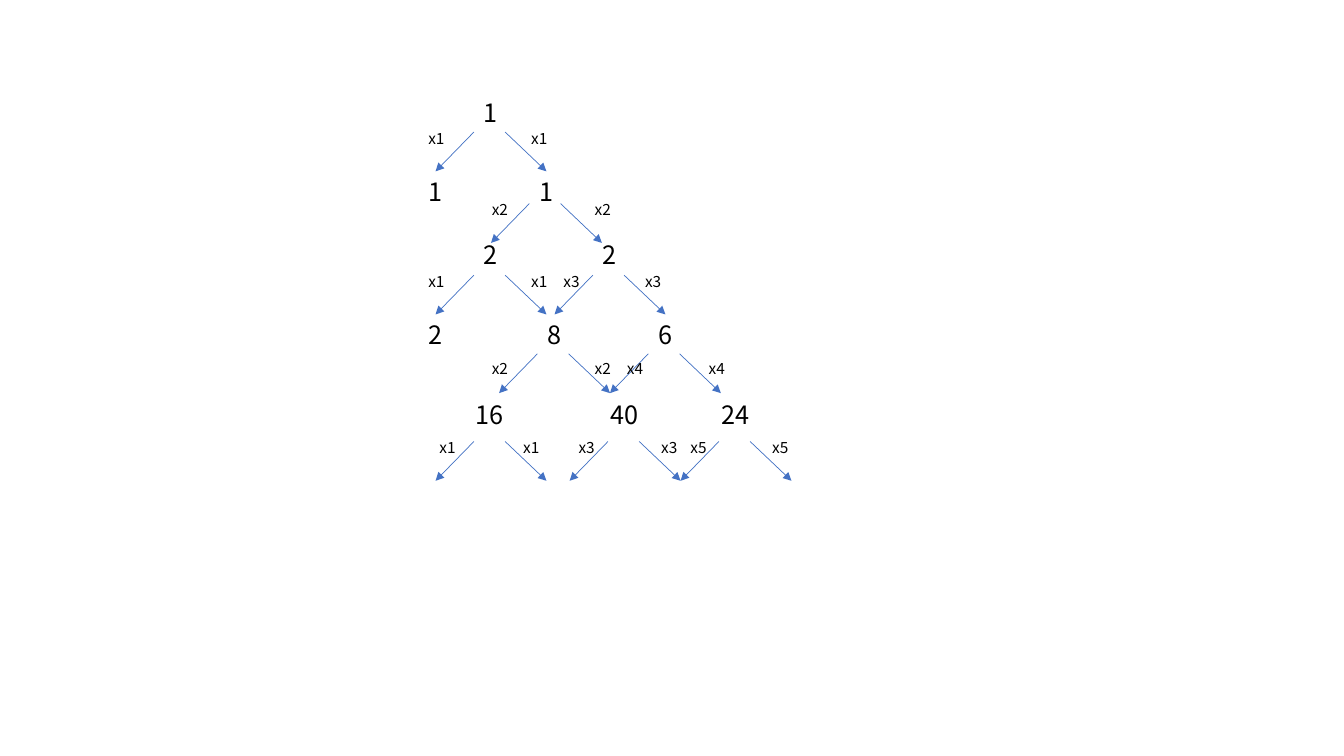
from dataclasses import dataclass

from lxml import etree
from pptx import Presentation
from pptx import util as u
from pptx.dml.color import RGBColor
from pptx.enum import shapes, text
from pptx.oxml.ns import qn


@dataclass(frozen=True)
class Theme:
    font: str = "Noto Sans CJK JP"
    ink: RGBColor = RGBColor(0x00, 0x00, 0x00)
    arrow: RGBColor = RGBColor(0x44, 0x72, 0xC4)
    arrow_width: float = 0.5
    number_size: int = 18
    factor_size: int = 11


THEME = Theme()
TREE_BOX = (4.32, 0.92)  # leftmost column axis and top of the tree
REACH = 0.55             # sideways distance from a number to its children
DROP = 0.39              # height of an arrow
FRAME_FORMAT = {
    "word_wrap": False,
    "auto_size": text.MSO_AUTO_SIZE.SHAPE_TO_FIT_TEXT,
}


@dataclass(frozen=True)
class Level:
    """Tops are measured from the tree's top, centres from its left axis."""
    number_top: float
    arrow_top: float
    factor_top: float
    numbers: tuple   # (centre, value)
    branches: tuple  # (centre, factor, left label offset, right label offset)


LEVELS = (
    Level(0, 0.39, 0.31, ((0.55, "1"),),
          ((0.55, "x1", -0.54, 0.48),)),
    Level(0.78, 1.1, 1.02, ((0, "1"), (1.1, "1")),
          ((1.1, "x2", -0.46, 0.56),)),
    Level(1.41, 1.81, 1.73, ((0.55, "2"), (1.73, "2")),
          ((0.55, "x1", -0.54, 0.48), (1.73, "x3", -0.38, 0.43))),
    Level(2.2, 2.59, 2.59, ((0, "2"), (1.18, "8"), (2.28, "6")),
          ((1.18, "x2", -0.54, 0.48), (2.28, "x4", -0.3, 0.51))),
    Level(2.99, 3.46, 3.38, ((0.54, "16"), (1.88, "40"), (2.98, "24")),
          ((0.55, "x1", -0.43, 0.4), (1.88, "x3", -0.38, 0.44),
           (2.98, "x5", -0.37, 0.44))),
)


def add_label(slide, centre, top, width, height, words, size):
    box = slide.shapes.add_textbox(
        *map(u.Inches, (centre - width / 2, top, width, height)))
    for name, value in FRAME_FORMAT.items():
        setattr(box.text_frame, name, value)
    run = box.text_frame.paragraphs[0].add_run()
    run.text = words
    for name, value in {"name": THEME.font, "size": u.Pt(size)}.items():
        setattr(run.font, name, value)
    run.font.color.rgb = THEME.ink


def add_arrow(slide, start, end):
    arrow = slide.shapes.add_connector(
        shapes.MSO_CONNECTOR.STRAIGHT, *map(u.Inches, start + end))
    arrow.line.color.rgb = THEME.arrow
    arrow.line.width = u.Pt(THEME.arrow_width)
    properties = arrow._element.spPr
    etree.SubElement(properties.find(qn("a:ln")), qn("a:tailEnd"), type="triangle")
    etree.SubElement(properties, qn("a:effectLst"))


def add_branch(slide, centre, arrow_top, factor_top, factor, label_offsets):
    """Draw the two arrows below a number, each with its factor."""
    for start, reach, offset in zip((-0.17, 0.14), (-REACH, REACH), label_offsets):
        add_arrow(slide, (centre + start, arrow_top),
                  (centre + reach, arrow_top + DROP))
        add_label(slide, centre + offset, factor_top, 0.36, 0.29,
                  factor, THEME.factor_size)


def add_tree(slide, left, top):
    for level in LEVELS:
        for centre, value in level.numbers:
            add_label(slide, left + centre, top + level.number_top,
                      0.2 + 0.14 * len(value), 0.4, value, THEME.number_size)
        for centre, factor, *label_offsets in level.branches:
            add_branch(slide, left + centre, top + level.arrow_top,
                       top + level.factor_top, factor, label_offsets)


def main():
    presentation = Presentation()
    presentation.slide_width = u.Inches(13.33)
    presentation.slide_height = u.Inches(7.5)
    slide = presentation.slides.add_slide(presentation.slide_layouts[6])
    add_tree(slide, *TREE_BOX)
    presentation.save("out.pptx")


if __name__ == "__main__":
    main()
